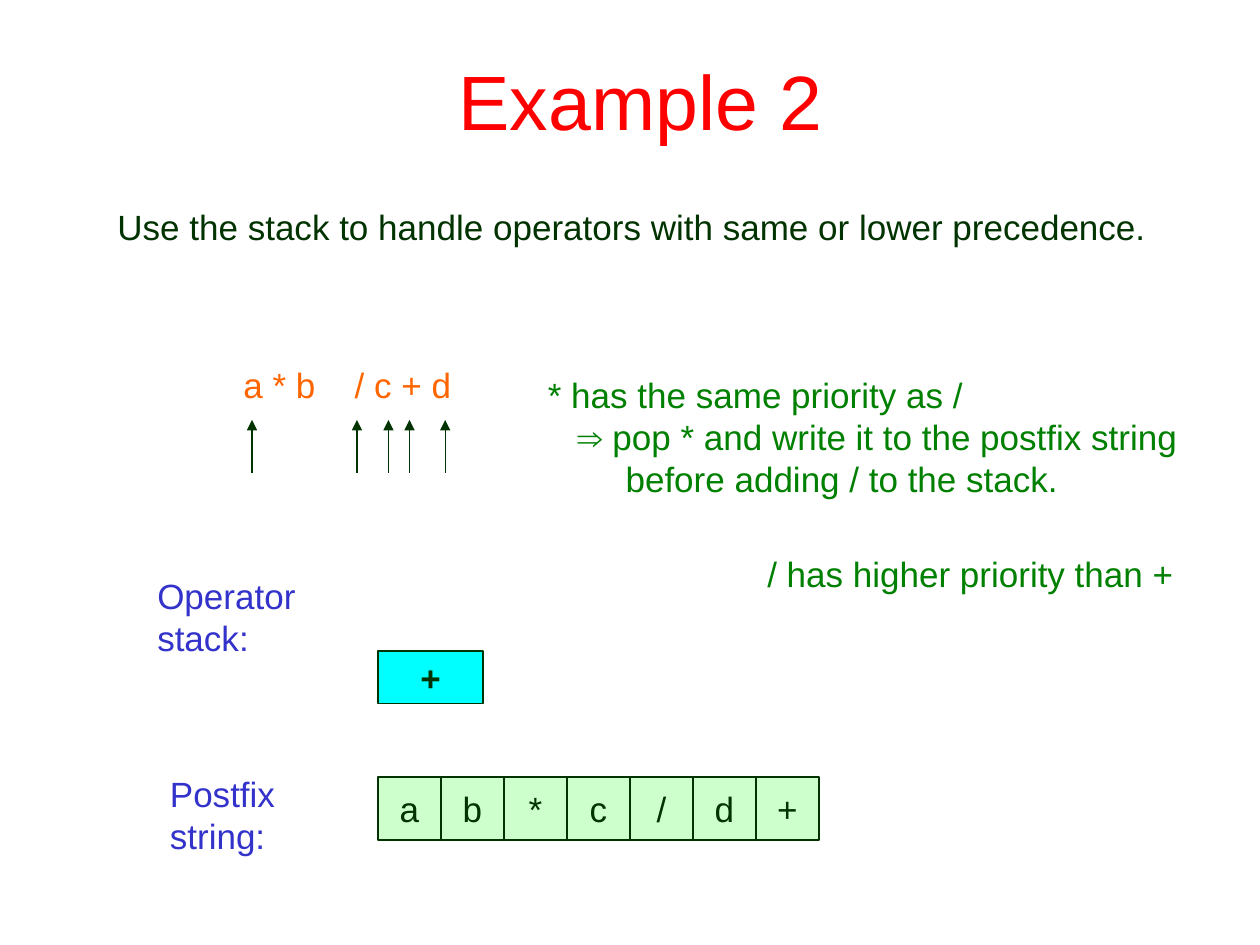
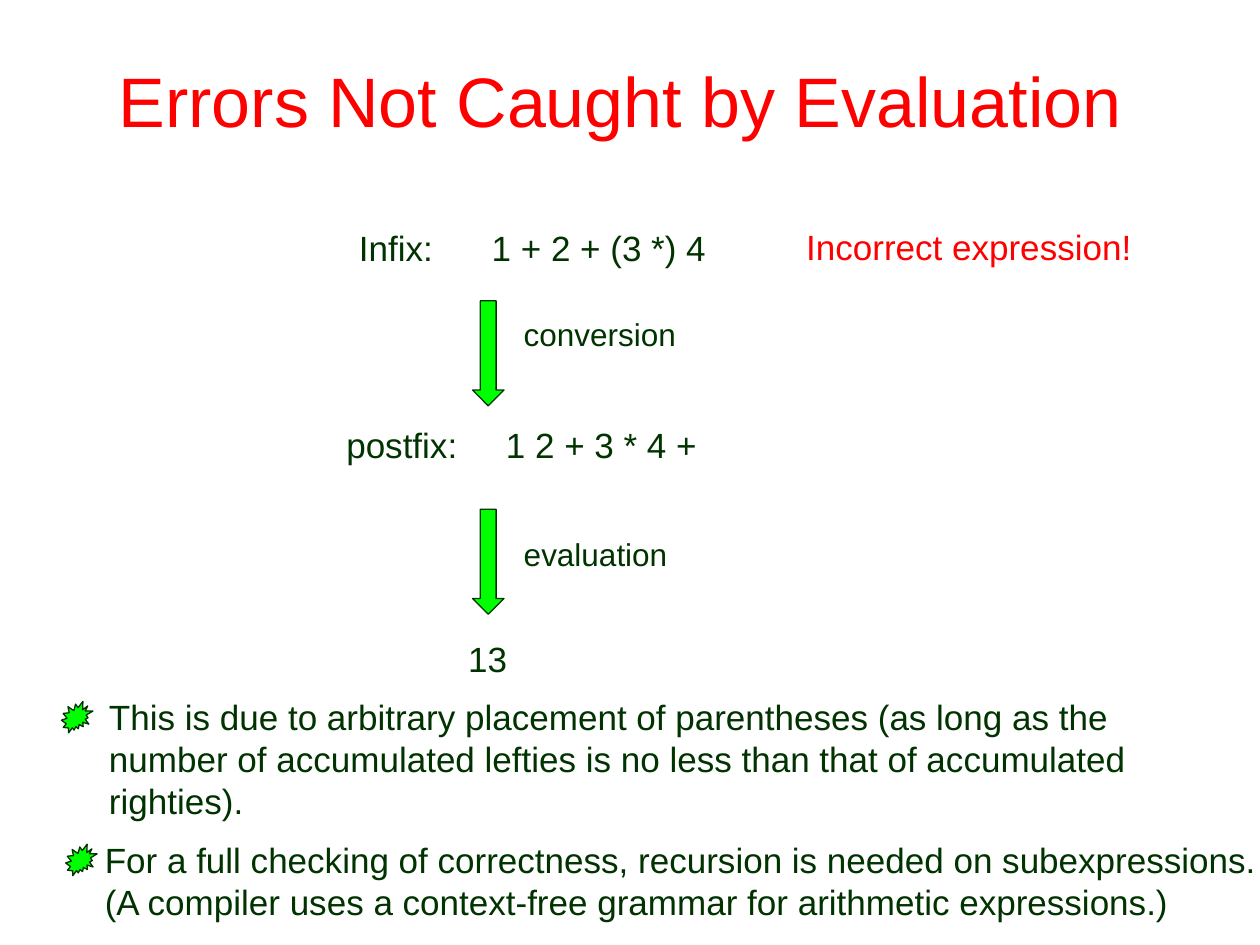
from dataclasses import dataclass

from lxml.etree import SubElement
from pptx import Presentation
from pptx.dml.color import RGBColor as Color
from pptx.enum.shapes import MSO_CONNECTOR as Connector, MSO_SHAPE as Preset
from pptx.enum.text import MSO_ANCHOR as Anchor, MSO_AUTO_SIZE as AutoSize, PP_ALIGN as Align
from pptx.oxml.ns import qn
from pptx.slide import Slide
from pptx.text.text import TextFrame
from pptx.util import Emu, Inches, Pt

COLUMNS, ROWS = 120, 90
CELL = Inches(10) / COLUMNS


@dataclass(frozen=True)
class Theme:
    font: str = "Arial"
    ink: str = "003300"
    alert: str = "FF0000"
    expression: str = "FF6600"
    label: str = "3333CC"
    remark: str = "008000"
    accent: str = "00FF00"
    stack: str = "00FFFF"
    postfix: str = "CCFFCC"
    body_size: float = 20
    step_size: float = 18
    line_width: float = 0.75


THEME = Theme()


# Elements, measured in grid columns and rows
@dataclass(frozen=True)
class Note:
    left: float
    top: float
    width: float
    height: float
    text: str
    color: str = THEME.ink
    size: float = THEME.body_size
    indents: tuple[float, ...] = ()
    tab: float = 0
    wrap: bool = False


@dataclass(frozen=True)
class Block:
    preset: Preset
    left: float
    top: float
    width: float
    height: float
    fill: str
    text: str = ""
    bold: bool = False


def cells(count: float) -> Emu:
    """Length of a number of grid cells."""
    return Emu(round(count * CELL))


def style_runs(frame: TextFrame, color: str, size: float, bold: bool = False) -> None:
    for paragraph in frame.paragraphs:
        for run in paragraph.runs:
            run.font.name = THEME.font
            run.font.size = Pt(size)
            run.font.bold = bold
            run.font.color.rgb = Color.from_string(color)


def add_title(slide: Slide, text: str, size: float, left_inset: float, right_inset: float) -> None:
    box = slide.shapes.add_textbox(cells(9), cells(2), cells(COLUMNS - 18), cells(15))
    frame = box.text_frame
    frame.word_wrap = True
    frame.vertical_anchor = Anchor.MIDDLE
    frame.margin_left, frame.margin_right = cells(left_inset), cells(right_inset)
    frame.text = text
    frame.paragraphs[0].alignment = Align.CENTER
    style_runs(frame, THEME.alert, size)


def add_note(slide: Slide, note: Note) -> None:
    box = slide.shapes.add_textbox(
        cells(note.left), cells(note.top), cells(note.width), cells(note.height))
    frame = box.text_frame
    frame.word_wrap = note.wrap
    frame.auto_size = AutoSize.SHAPE_TO_FIT_TEXT
    frame.text = note.text
    for paragraph, indent in zip(frame.paragraphs, note.indents):
        properties = paragraph._p.get_or_add_pPr()
        properties.set("marL", str(cells(indent)))
        properties.set("indent", "0")
    if note.tab:
        properties = frame.paragraphs[0]._p.get_or_add_pPr()
        stops = SubElement(properties, qn("a:tabLst"))
        SubElement(stops, qn("a:tab"), pos=str(cells(note.tab)), algn="l")
    style_runs(frame, note.color, note.size)


def add_block(slide: Slide, block: Block) -> None:
    shape = slide.shapes.add_shape(
        block.preset, cells(block.left), cells(block.top), cells(block.width), cells(block.height))
    shape.shadow.inherit = False
    shape.fill.solid()
    shape.fill.fore_color.rgb = Color.from_string(block.fill)
    shape.line.color.rgb = Color.from_string(THEME.ink)
    shape.line.width = Pt(THEME.line_width)
    if block.text:
        frame = shape.text_frame
        frame.word_wrap = False
        frame.vertical_anchor = Anchor.MIDDLE
        frame.text = block.text
        frame.paragraphs[0].alignment = Align.CENTER
        style_runs(frame, THEME.ink, THEME.body_size, block.bold)


def add_pointer(slide: Slide, column: float, bottom: float, top: float) -> None:
    """Thin vertical arrow pointing up."""
    pointer = slide.shapes.add_connector(
        Connector.STRAIGHT, cells(column), cells(bottom), cells(column), cells(top))
    pointer.line.color.rgb = Color.from_string(THEME.ink)
    pointer.line.width = Pt(THEME.line_width)
    SubElement(pointer.line._get_or_add_ln(), qn("a:tailEnd"), type="triangle")
    SubElement(pointer._element.spPr, qn("a:effectLst"))


def build_example(slide: Slide) -> None:
    add_title(slide, "Example 2", 44, left_inset=3.2, right_inset=1.2)
    notes = (
        Note(10, 19, 107, 5.25,
             "Use the stack to handle operators with same or lower precedence.", wrap=True),
        Note(22, 34, 22.2, 5.25, "a * b\t/ c + d", THEME.expression, tab=10.6),
        Note(13.8, 54.1, 15.6, 9.25, "Operator\nstack:", THEME.label),
        Note(15, 73, 13.3, 9.25, "Postfix\nstring:", THEME.label),
        Note(51, 35, 63, 13.2,
             "* has the same priority as /\n⇒ pop * and write it to the postfix string\n"
             "before adding / to the stack.", THEME.remark, indents=(0, 2.8, 7.4)),
        Note(71.9, 52, 43.7, 5.2, "/ has higher priority than +", THEME.remark),
    )
    for note in notes:
        add_note(slide, note)
    # Symbols being read
    for column in (24, 34, 37, 39, 42.4):
        add_pointer(slide, column, bottom=45, top=40)
    # Stack and output string
    add_block(slide, Block(Preset.RECTANGLE, 36, 62, 10, 5, THEME.stack, "+", bold=True))
    for index, symbol in enumerate("ab*c/d+"):
        add_block(slide, Block(Preset.RECTANGLE, 36 + 6 * index, 74, 6, 6, THEME.postfix, symbol))


def build_errors(slide: Slide) -> None:
    add_title(slide, "Errors Not Caught by Evaluation", 40, left_inset=1.2, right_inset=3.05)
    notes = (
        Note(33, 21, 36.5, 5.25, "Infix:\t1 + 2 + (3 *) 4", tab=12.65),
        Note(31.8, 39.75, 37.8, 5.25, "postfix:\t1 2 + 3 * 4 +", tab=15.2),
        Note(48.7, 29.4, 17, 4.8, "conversion", size=THEME.step_size),
        Note(48.7, 50.4, 16.2, 4.8, "evaluation", size=THEME.step_size),
        Note(43.4, 60.1, 6.1, 5.25, "13"),
        Note(75.6, 20.9, 33.6, 5.25, "Incorrect expression!", THEME.alert),
        Note(9.2, 65.6, 100, 13.3,
             "This is due to arbitrary placement of parentheses (as long as the\n"
             "number of accumulated lefties is no less than that of accumulated\nrighties)."),
        Note(8.8, 79.3, 113.4, 9.25,
             "For a full checking of correctness, recursion is needed on subexpressions.\n"
             "(A compiler uses a context-free grammar for arithmetic expressions.)"),
    )
    for note in notes:
        add_note(slide, note)
    # Step arrows
    for top in (28.65, 48.5):
        add_block(slide, Block(Preset.DOWN_ARROW, 45, top, 3, 10, THEME.accent))
    # Starburst markers
    for left, top in ((5.85, 66.8), (6.25, 80.4)):
        add_block(slide, Block(Preset.EXPLOSION2, left, top, 3, 3, THEME.accent))


def main() -> None:
    presentation = Presentation()
    presentation.slide_width = cells(COLUMNS)
    presentation.slide_height = cells(ROWS)
    for build in (build_example, build_errors):
        build(presentation.slides.add_slide(presentation.slide_layouts[6]))
    presentation.save("out.pptx")


if __name__ == "__main__":
    main()
